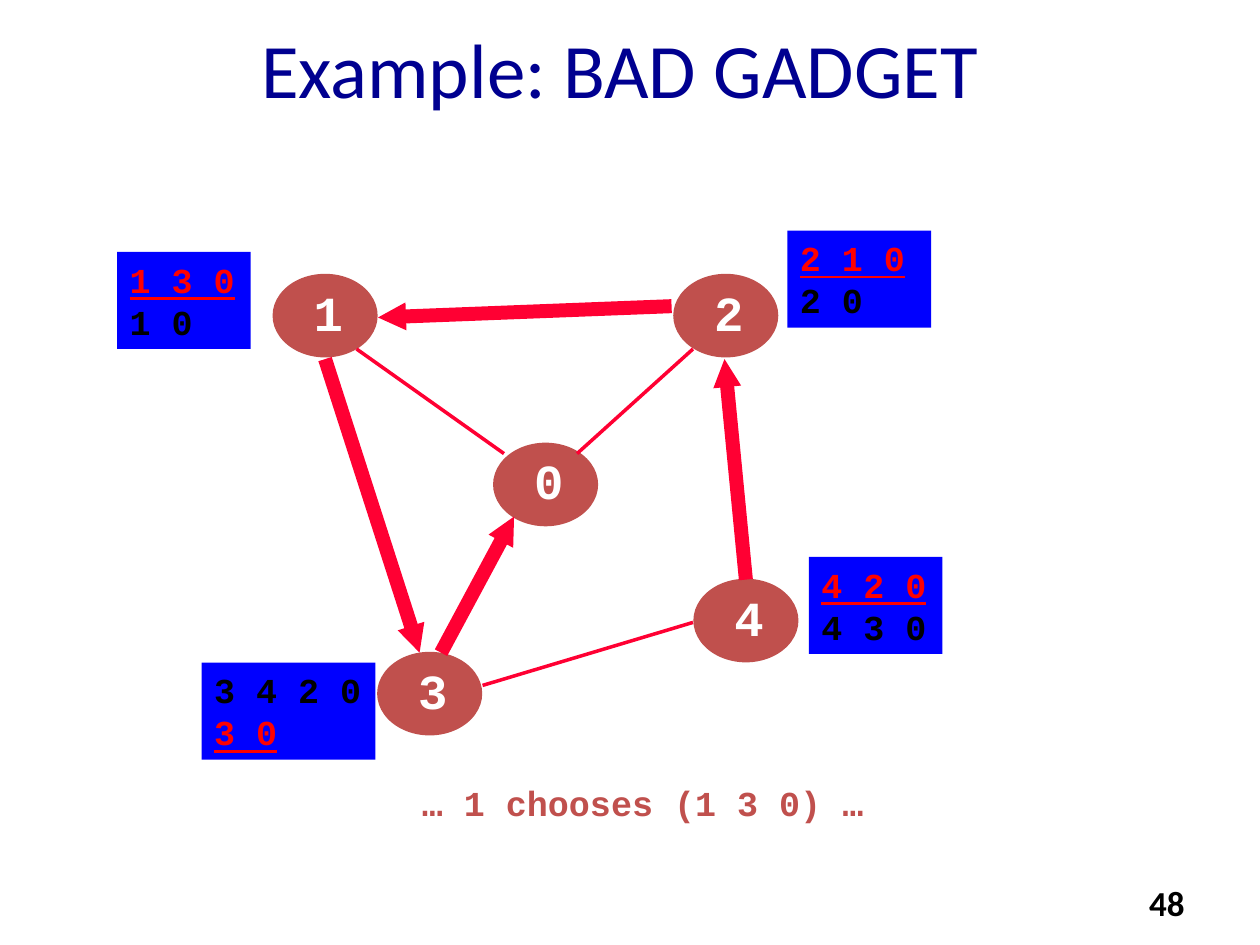
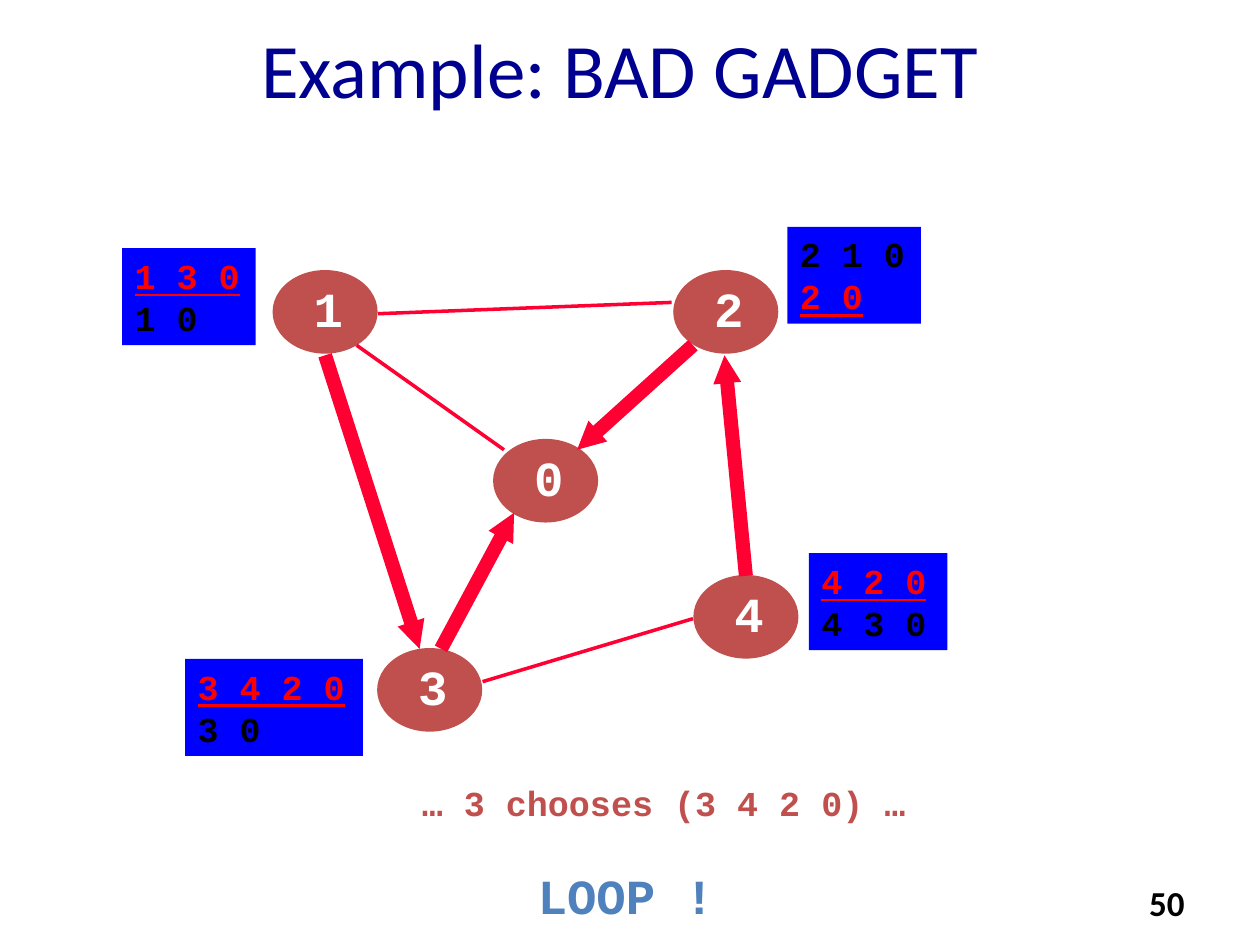
import lxml.etree
import pptx
import pptx.dml.color
import pptx.enum.shapes
import pptx.enum.text
import pptx.oxml.ns
import pptx.util
from dataclasses import dataclass

TITLE = "Example: BAD GADGET"

# Node name: left, top
NODES = {"1": (2.17, 2.18), "2": (5.35, 2.18), "4": (5.51, 4.6),
         "3": (3, 5.18), "0": (3.92, 3.52)}

# (from node, to node): end points
LINKS = {
    ("1", "0"): ((2.83, 2.77), (4, 3.6)),
    ("2", "1"): ((5.33, 2.43), (3, 2.52)),
    ("2", "0"): ((5.5, 2.77), (4.58, 3.6)),
    ("4", "2"): ((5.92, 4.6), (5.75, 2.85)),
    ("1", "3"): ((2.58, 2.85), (3.33, 5.18)),
    ("4", "3"): ((5.5, 4.94), (3.83, 5.44)),
    ("3", "0"): ((3.5, 5.18), (4.08, 4.1)),
}

# Node name: its possible paths, in order of preference
PATHS = {"2": ("2 1 0", "2 0"), "1": ("1 3 0", "1 0"),
         "4": ("4 2 0", "4 3 0"), "3": ("3 4 2 0", "3 0")}
PATH_TOPS = {"2": 1.83, "1": 2, "4": 4.42, "3": 5.26}

# next_hop gives the bold arrows, chosen the underlined paths,
# path_boxes the left and width of each path list, rise lifts the network
STEPS = [
    {"number": "48", "rise": 0,
     "next_hop": {"1": "3", "2": "1", "3": "0", "4": "2"},
     "chosen": {"1 3 0", "2 1 0", "3 0", "4 2 0"},
     "path_boxes": {"2": (6.25, 1.14), "1": (0.93, 1.06),
                    "4": (6.42, 1.06), "3": (1.6, 1.38)},
     "caption": "… 1 chooses (1 3 0) …", "verdict": None},
    {"number": "50", "rise": 0.03,
     "next_hop": {"1": "3", "2": "0", "3": "0", "4": "2"},
     "chosen": {"1 3 0", "2 0", "3 4 2 0", "4 2 0"},
     "path_boxes": {"2": (6.25, 1.06), "1": (0.97, 1.06),
                    "4": (6.42, 1.1), "3": (1.47, 1.41)},
     "caption": "… 3 chooses (3 4 2 0) …", "verdict": "LOOP !"},
]

NODE_SIZE = (0.82, 0.65)
LABEL_OFFSET, LABEL_SIZE = (0.22, 0.01), (0.42, 0.57)
PATH_HEIGHT = 0.77


@dataclass(frozen=True)
class Theme:
    title: str = "000090"
    node: str = "C0504D"
    label: str = "FFFFFF"
    link: str = "FF0033"
    path_fill: str = "0000FF"
    chosen: str = "FF0000"
    text: str = "000000"
    verdict: str = "4F81BD"
    sans: str = "Calibri"
    mono: str = "Courier New"
    title_size: int = 44
    large: int = 28
    small: int = 20
    thin: int = 2
    thick: int = 8


THEME = Theme()


def color(value):
    return pptx.dml.color.RGBColor.from_string(value)


def inches(*values):
    return [pptx.util.Inches(v) for v in values]


def add_run(p, text, size, rgb, font=THEME.mono, bold=True, underline=False):
    r = p.add_run()
    r.text = text
    r.font.name, r.font.size = font, pptx.util.Pt(size)
    r.font.color.rgb = color(rgb)
    r.font.bold, r.font.underline = bold, underline


def add_text(shapes, box, text, size, rgb, font=THEME.mono, wrap=True):
    tf = shapes.add_textbox(*inches(*box)).text_frame
    tf.word_wrap = wrap
    add_run(tf.paragraphs[0], text, size, rgb, font)
    return tf


def add_filled(shapes, kind, box, rgb):
    sp = shapes.add_shape(kind, *inches(*box))
    sp.shadow.inherit = False
    sp.fill.solid()
    sp.fill.fore_color.rgb = color(rgb)
    return sp


def add_node(s, name, left, top):
    shapes = s.shapes.add_group_shape().shapes
    oval = add_filled(shapes, pptx.enum.shapes.MSO_SHAPE.OVAL,
                      (left, top, *NODE_SIZE), THEME.node)
    oval.line.color.rgb = color(THEME.node)
    oval.line.width = pptx.util.Pt(1)
    dx, dy = LABEL_OFFSET
    add_text(shapes, (left + dx, top + dy, *LABEL_SIZE), name,
             THEME.large, THEME.label, wrap=False)


def add_link(s, start, end, is_arrow):
    line = s.shapes.add_connector(pptx.enum.shapes.MSO_CONNECTOR.STRAIGHT,
                                  *inches(*start, *end))
    line.line.color.rgb = color(THEME.link)
    line.line.width = pptx.util.Pt(THEME.thick if is_arrow else THEME.thin)
    qn = pptx.oxml.ns.qn
    props = line._element.spPr
    if is_arrow:
        lxml.etree.SubElement(props.find(qn("a:ln")), qn("a:tailEnd"),
                              type="triangle", w="sm", len="sm")
    lxml.etree.SubElement(props, qn("a:effectLst"))


def add_paths(s, box, paths, chosen):
    sp = add_filled(s.shapes, pptx.enum.shapes.MSO_SHAPE.RECTANGLE,
                    box, THEME.path_fill)
    sp.line.fill.background()
    tf = sp.text_frame
    tf.word_wrap = True
    tf.vertical_anchor = pptx.enum.text.MSO_ANCHOR.TOP
    for i, route in enumerate(paths):
        p = tf.add_paragraph() if i else tf.paragraphs[0]
        p.alignment = pptx.enum.text.PP_ALIGN.LEFT
        picked = route in chosen
        add_run(p, route, THEME.small, THEME.chosen if picked else THEME.text,
                underline=picked)


def add_frame(s, number):
    """Add the title and the slide number."""
    title = s.shapes.title
    title.left, title.top, title.width, title.height = inches(0.17, 0.33, 9.5, 0.42)
    tf = title.text_frame
    tf.auto_size = pptx.enum.text.MSO_AUTO_SIZE.NONE
    tf.vertical_anchor = pptx.enum.text.MSO_ANCHOR.MIDDLE
    p = tf.paragraphs[0]
    p.alignment = pptx.enum.text.PP_ALIGN.CENTER
    add_run(p, TITLE, THEME.title_size, THEME.title, THEME.sans, bold=False)
    tf = add_text(s.shapes, (7.17, 6.95, 2.33, 0.4), number,
                  THEME.small, THEME.text, THEME.sans)
    tf.paragraphs[0].alignment = pptx.enum.text.PP_ALIGN.RIGHT


def add_step(prs, step):
    s = prs.slides.add_slide(prs.slide_layouts.get_by_name("Title Only"))
    add_frame(s, step["number"])
    rise = step["rise"]
    for name, (left, top) in NODES.items():
        add_node(s, name, left, top - rise)
    for (source, target), ends in LINKS.items():
        start, end = [(x, y - rise) for x, y in ends]
        add_link(s, start, end, step["next_hop"].get(source) == target)
    for name, (left, width) in step["path_boxes"].items():
        box = (left, PATH_TOPS[name] - rise, width, PATH_HEIGHT)
        add_paths(s, box, PATHS[name], step["chosen"])
    add_text(s.shapes, (3.25, 6.15, 4.33, 0.76), step["caption"],
             THEME.small, THEME.node)
    if step["verdict"]:
        add_text(s.shapes, (4.17, 6.82, 4.33, 0.56), step["verdict"],
                 THEME.large, THEME.verdict)


def main():
    prs = pptx.Presentation()
    prs.slide_width, prs.slide_height = inches(10, 7.5)
    for step in STEPS:
        add_step(prs, step)
    prs.save("out.pptx")


if __name__ == "__main__":
    main()
